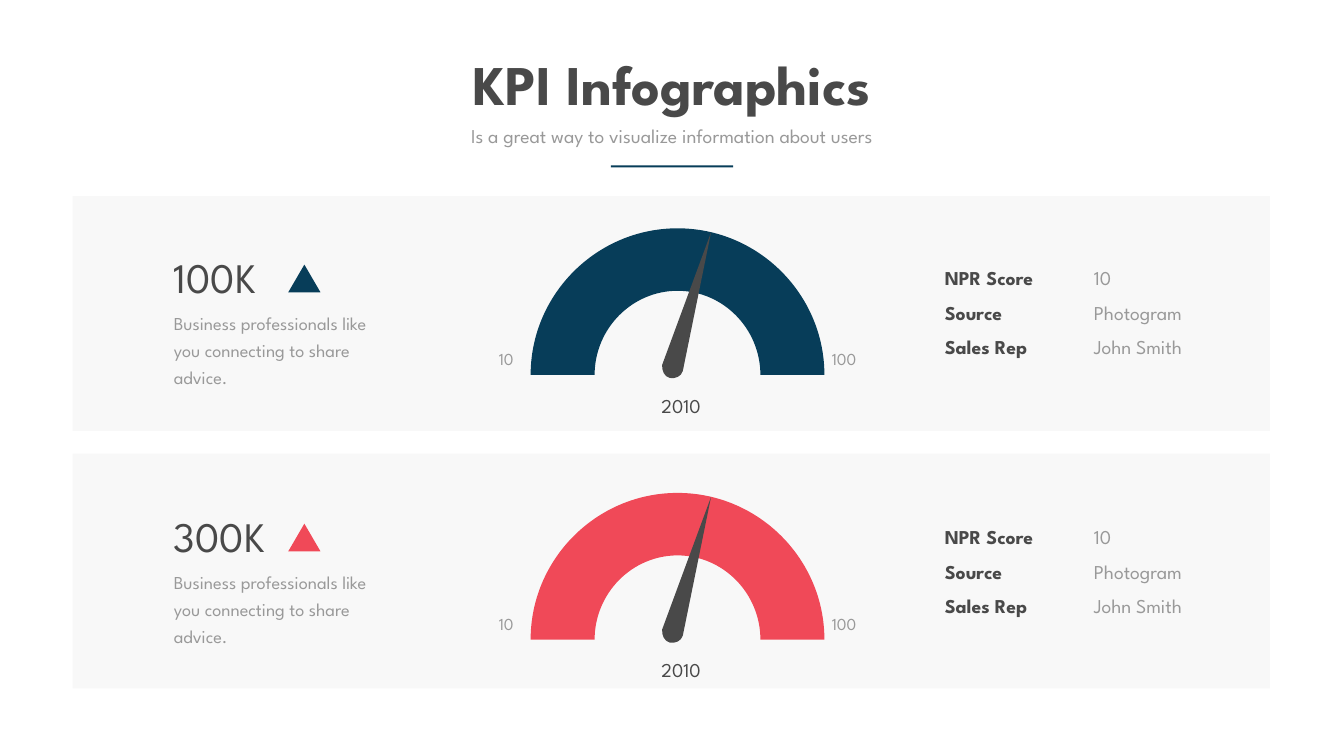
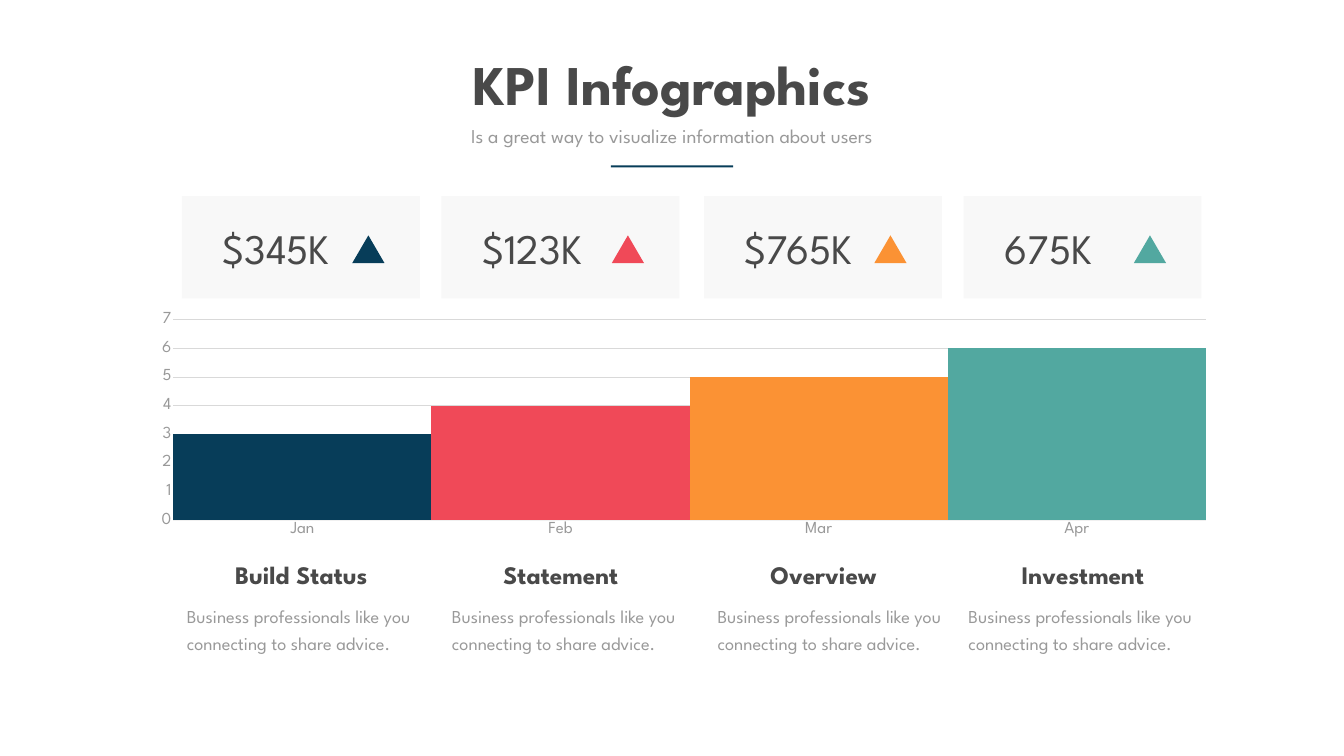
import pptx
import pptx.chart.data
import pptx.dml.color
import pptx.enum.chart
import pptx.enum.shapes
import pptx.enum.text
import pptx.oxml
import pptx.oxml.ns
import pptx.util

Inches = pptx.util.Inches
Pt = pptx.util.Pt
RGBColor = pptx.dml.color.RGBColor
ALIGN = pptx.enum.text.PP_ALIGN
SHAPE = pptx.enum.shapes.MSO_SHAPE

FONT = "League Spartan"
NAVY = RGBColor(0x07, 0x3D, 0x59)
RED = RGBColor(0xF0, 0x49, 0x58)
ORANGE = RGBColor(0xFB, 0x92, 0x34)
TEAL = RGBColor(0x52, 0xA8, 0xA0)
DARK = RGBColor(0x49, 0x49, 0x49)
GREY = RGBColor(0x99, 0x99, 0x99)
PANEL = RGBColor(0xF2, 0xF2, 0xF2)
AXIS = RGBColor(0xF0, 0xF0, 0xF0)
GRID = RGBColor(0xD9, 0xD9, 0xD9)

ADVICE = "Business professionals like you connecting to share advice."
DETAILS = [
    (0.28, "NPR Score", 2.66, "10", 0.91),
    (0.98, "Source", 3.06, "Photogram", 2.35),
    (1.66, "Sales Rep", 3.06, "John Smith", 2.35),
]
CURVE_HANDLE = 0.55


def add_text(shapes, left, top, width, height, text, size, color,
             bold=False, align=ALIGN.LEFT, spacing=None, wrap=True):
    box = shapes.add_textbox(Inches(left), Inches(top), Inches(width), Inches(height))
    frame = box.text_frame
    frame.word_wrap = wrap
    frame.auto_size = pptx.enum.text.MSO_AUTO_SIZE.SHAPE_TO_FIT_TEXT
    frame.text = text
    para = frame.paragraphs[0]
    para.alignment = align
    if spacing:
        para.line_spacing = Pt(spacing)
    style_font(para.runs[0].font, size, color, bold)


def style_font(font, size, color, bold=False):
    font.name = FONT
    font.size = Pt(size)
    font.bold = bold
    font.color.rgb = color


def paint(shape, color):
    shape.shadow.inherit = False
    shape.fill.solid()
    shape.fill.fore_color.rgb = color
    shape.line.fill.background()


def add_block(shapes, kind, left, top, width, height, color):
    shape = shapes.add_shape(kind, Inches(left), Inches(top), Inches(width), Inches(height))
    paint(shape, color)
    return shape


def add_panel(shapes, left, top, width, height):
    panel = add_block(shapes, SHAPE.RECTANGLE, left, top, width, height, PANEL)
    color = next(panel.element.iter(pptx.oxml.ns.qn("a:srgbClr")))
    color.append(pptx.oxml.parse_xml(
        f'<a:alpha {pptx.oxml.ns.nsdecls("a")} val="50000"/>'))


def add_outline(shapes, start, segments, color):
    builder = shapes.build_freeform(Inches(start[0]), Inches(start[1]))
    points = [point for segment in segments for point in segment]
    builder.add_line_segments([(Inches(x), Inches(y)) for x, y in points], close=True)
    shape = builder.convert_to_shape()
    lines = iter(list(shape.element.iter(pptx.oxml.ns.qn("a:lnTo"))))
    for segment in segments:
        steps = [next(lines) for point in segment]
        if len(steps) == 3:
            curve = pptx.oxml.parse_xml(f'<a:cubicBezTo {pptx.oxml.ns.nsdecls("a")}/>')
            steps[0].addprevious(curve)
            for step in steps:
                curve.append(step[0])
                step.getparent().remove(step)
    paint(shape, color)


def half_ellipse(x, base, across, up, side):
    near, far = x + side * across, x - side * across
    inset, rise = side * across * CURVE_HANDLE, up * CURVE_HANDLE
    peak = base - up
    return [
        [(near, base - rise), (x + inset, peak), (x, peak)],
        [(x - inset, peak), (far, base - rise), (far, base)],
    ]


def add_advice(shapes, left, top, width):
    add_text(shapes, left, top, width, 1.69, ADVICE, 26, GREY, spacing=38.6)


def add_value(page, left, top, width, text, marker_offset, color):
    shapes = page.shapes.add_group_shape().shapes
    add_text(shapes, left, top, width, 1.11, text, 60, DARK)
    add_block(shapes, SHAPE.ISOSCELES_TRIANGLE,
              left + marker_offset, top + 0.31, 0.64, 0.55, color)


def add_gauge(page, top, color):
    shapes = page.shapes.add_group_shape().shapes
    center, base = 13.445, top + 2.91
    ring = (half_ellipse(center, base, 2.915, 2.91, 1)
            + [[(center - 1.645, base)]]
            + half_ellipse(center, base, 1.645, 1.67, -1))
    add_outline(shapes, (center + 2.915, base), ring, color)
    needle = [
        [(13.18, top + 2.94), (13.13, top + 2.82), (13.14, top + 2.71)],
        [(14.11, top + 0.08)],
        [(13.55, top + 2.83)],
        [(13.52, top + 2.94), (13.4, top + 2.99), (13.29, top + 2.97)],
    ]
    add_outline(shapes, (13.29, top + 2.97), needle, DARK)
    add_text(shapes, 9.22, top + 2.18, 1.07, 0.61, "10", 24, GREY,
             align=ALIGN.RIGHT, spacing=40.8)
    add_text(shapes, 16.41, top + 2.18, 1.37, 0.61, "100", 24, GREY, spacing=40.8)
    add_text(shapes, 9.24, top + 3.23, 8.55, 0.57, "2010", 28, DARK, align=ALIGN.CENTER)


def add_details(shapes, top):
    for offset, label, label_width, value, value_width in DETAILS:
        add_text(shapes, 18.65, top + offset, label_width, 0.57, label, 28, DARK, bold=True)
        add_text(shapes, 21.61, top + offset, value_width, 0.57, value, 28, GREY)


def add_kpi_row(page, gauge_top, text_top, value, color):
    add_gauge(page, gauge_top, color)
    add_value(page, 3.35, text_top, 3.83, value, 2.37, color)
    add_advice(page.shapes, 3.35, text_top + 1.11, 4.09)
    add_details(page.shapes, text_top)


def add_kpi_column(page, left, advice_left, value, heading, color):
    add_panel(page.shapes, left, 3.89, 4.72, 2.03)
    add_value(page, left + 0.71, 4.36, 3.31, value, 2.67, color)
    add_text(page.shapes, left + 0.77, 11.04, 3.2, 0.71, heading, 36, DARK,
             bold=True, align=ALIGN.CENTER)
    add_advice(page.shapes, advice_left, 11.86, 4.72)


def place_plot(chart, left, top, width, height):
    area = chart.element.chart.plotArea
    for old in area.findall(pptx.oxml.ns.qn("c:layout")):
        area.remove(old)
    area.insert(0, pptx.oxml.parse_xml(
        f'<c:layout {pptx.oxml.ns.nsdecls("c")}><c:manualLayout>'
        '<c:layoutTarget val="inner"/><c:xMode val="edge"/><c:yMode val="edge"/>'
        f'<c:x val="{left}"/><c:y val="{top}"/><c:w val="{width}"/><c:h val="{height}"/>'
        '</c:manualLayout></c:layout>'))


def add_month_chart(page, colors):
    data = pptx.chart.data.CategoryChartData()
    data.categories = ["Jan", "Feb", "Mar", "Apr"]
    data.add_series("Series 1", [3, 4, 5, 6])
    chart = page.shapes.add_chart(
        pptx.enum.chart.XL_CHART_TYPE.COLUMN_STACKED,
        Inches(1.69), Inches(6.15), Inches(22.88), Inches(4.67), data).chart
    chart.has_legend = False
    chart.has_title = False
    style_font(chart.font, 24, GREY)
    plot = chart.plots[0]
    plot.gap_width = 0
    plot.overlap = -14
    plot.vary_by_categories = False
    series = plot.series[0]
    series.format.fill.solid()
    series.format.fill.fore_color.rgb = colors[0]
    for index, color in enumerate(colors):
        fill = series.points[index].format.fill
        fill.solid()
        fill.fore_color.rgb = color
    months, scale = chart.category_axis, chart.value_axis
    for axis in (months, scale):
        axis.major_tick_mark = pptx.enum.chart.XL_TICK_MARK.NONE
        axis.minor_tick_mark = pptx.enum.chart.XL_TICK_MARK.NONE
        style_font(axis.tick_labels.font, 24, GREY)
    months.has_major_gridlines = False
    scale.has_major_gridlines = True
    scale.minimum_scale, scale.maximum_scale, scale.major_unit = 0, 7, 1
    scale.format.line.fill.background()
    for line, color in ((months.format.line, AXIS),
                        (scale.major_gridlines.format.line, GRID)):
        line.color.rgb = color
        line.width = Pt(0.75)
    place_plot(chart, 0.0765, 0.041, 0.8955, 0.852)


def add_page(deck):
    page = deck.slides.add_slide(deck.slide_layouts[6])
    add_text(page.shapes, 8.88, 0.94, 8.91, 1.45, "KPI Infographics", 80, DARK,
             bold=True, align=ALIGN.CENTER, wrap=False)
    add_text(page.shapes, 8.55, 2.41, 9.56, 0.57,
             "Is a great way to visualize information about users", 28, GREY,
             align=ALIGN.CENTER)
    add_block(page.shapes, SHAPE.RECTANGLE, 12.12, 3.28, 2.43, 0.04, NAVY)
    return page


def main():
    deck = pptx.Presentation()
    deck.slide_width = Inches(26.67)
    deck.slide_height = Inches(15)

    gauges = add_page(deck)
    for top in (3.89, 9):
        add_panel(gauges.shapes, 1.44, top, 23.76, 4.66)
    add_kpi_row(gauges, 4.53, 4.94, "100K", NAVY)
    add_kpi_row(gauges, 9.78, 10.08, "300K", RED)

    months = add_page(deck)
    add_month_chart(months, [NAVY, RED, ORANGE, TEAL])
    add_kpi_column(months, 3.61, 3.61, "$345K", "Build Status", NAVY)
    add_kpi_column(months, 8.76, 8.87, "$123K", "Statement", RED)
    add_kpi_column(months, 13.97, 14.14, "$765K", "Overview", ORANGE)
    add_kpi_column(months, 19.12, 19.12, "675K", "Investment", TEAL)

    deck.save("out.pptx")


if __name__ == "__main__":
    main()
